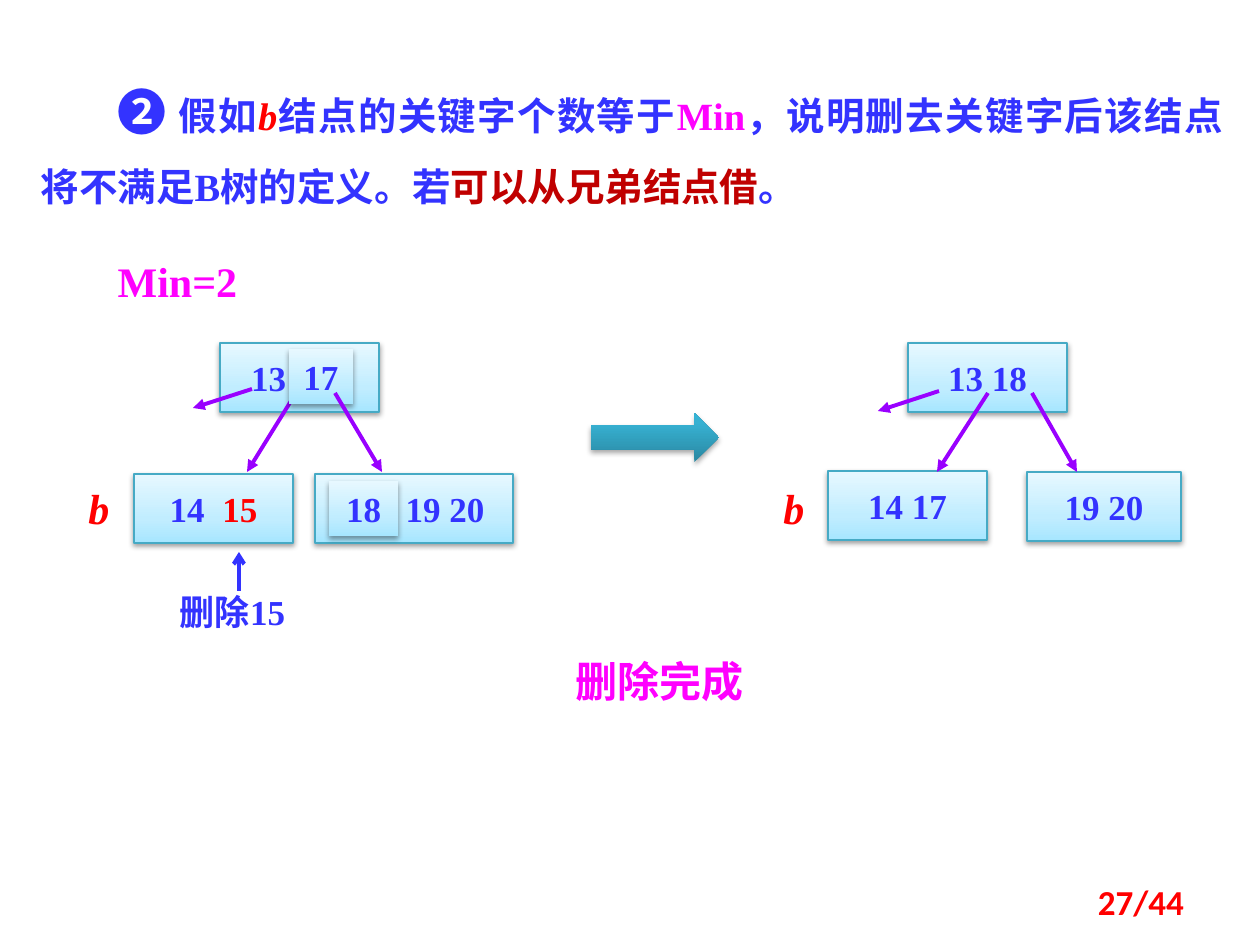
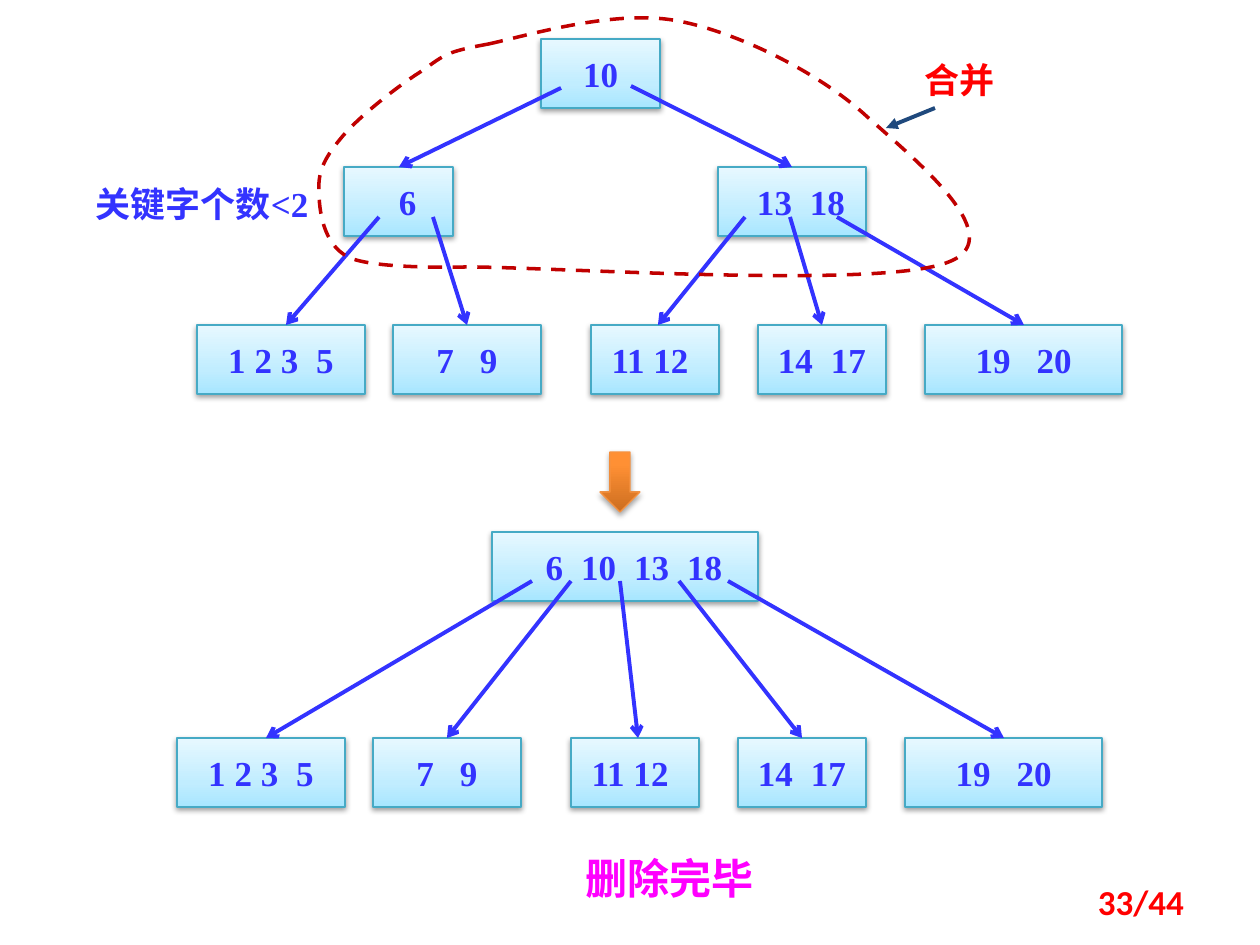
from pptx import Presentation
from pptx.dml.color import RGBColor
from pptx.enum.dml import MSO_LINE
from pptx.enum.shapes import MSO_CONNECTOR, MSO_SHAPE
from pptx.enum.text import MSO_ANCHOR, PP_ALIGN
from pptx.oxml import parse_xml
from pptx.oxml.ns import nsdecls, qn
from pptx.util import Emu, Pt
from lxml.etree import SubElement

UNIT = 914400 / 126
COLORS = {
    "blue": "3333FF", "red": "FF0000", "pink": "FF00FF", "brick": "C00000",
    "violet": "9900FF", "navy": "1F497D", "edge": "46AAC5", "amber": "F69240",
}
FILLS = {
    "node": [(0, "A7E6FF"), (35, "C1EDFF"), (100, "E7F8FF")],
    "teal": [(0, "2A88A2"), (80, "37B1D2"), (100, "34B4D6")],
    "orange": [(0, "CC6E20"), (80, "FF9034"), (100, "FF9136")],
}
SERIF, HAN, SANS = "Times New Roman", "Noto Sans CJK SC", "Calibri"
DIGIT, SPACE = 17.5, 8.75
TALL = 69


def px(value):
    return Emu(round(value * UNIT))


def rgb(name):
    return RGBColor.from_string(COLORS[name])


def style(font, color, size, name):
    font.name, font.size, font.bold = name, Pt(size), True
    font.color.rgb = rgb(color)


def clear(frame):
    frame.margin_left = frame.margin_right = 0
    frame.margin_top = frame.margin_bottom = 0
    frame.word_wrap = True


def label(slide, box, text, color="blue", size=20, name=SERIF,
          align=PP_ALIGN.CENTER, slant=False):
    frame = slide.shapes.add_textbox(*map(px, box)).text_frame
    clear(frame)
    frame.vertical_anchor = MSO_ANCHOR.MIDDLE
    para = frame.paragraphs[0]
    para.text, para.alignment = text, align
    style(para.font, color, size, name)
    if slant:
        para.font.italic = True


def solid(slide, kind, box, fill, edge=None, alpha=38, drop=20000):
    shape = slide.shapes.add_shape(kind, *map(px, box))
    shape.fill.gradient()
    stops = "".join(
        f'<a:gs pos="{pos * 1000}"><a:srgbClr val="{color}"/></a:gs>'
        for pos, color in FILLS[fill])
    props = shape.element.spPr
    props.replace(props.find(qn("a:gradFill")), parse_xml(
        f'<a:gradFill {nsdecls("a")} rotWithShape="1"><a:gsLst>{stops}</a:gsLst>'
        '<a:lin ang="16200000" scaled="0"/></a:gradFill>'))
    if edge:
        shape.line.color.rgb = rgb(edge)
        shape.line.width = Pt(0.75)
    else:
        shape.line.fill.background()
    props.append(parse_xml(
        f'<a:effectLst {nsdecls("a")}><a:outerShdw blurRad="40000" dist="{drop}" '
        'dir="5400000" rotWithShape="0"><a:srgbClr val="000000">'
        f'<a:alpha val="{alpha * 1000}"/></a:srgbClr></a:outerShdw></a:effectLst>'))
    return shape


def span(text):
    return sum(SPACE if char == " " else DIGIT for char in text)


def node(slide, box, keys, gap=18, shift=0, edge="edge", hot=None):
    frame = solid(slide, MSO_SHAPE.RECTANGLE, box, "node", edge).text_frame
    clear(frame)
    frame.vertical_anchor = MSO_ANCHOR.MIDDLE
    parts = keys.split("\t")
    total = sum(map(span, parts)) + gap * (len(parts) - 1)
    frame.margin_left = px((box[2] - total) / 2 + shift)
    para = frame.paragraphs[0]
    para.alignment = PP_ALIGN.LEFT
    if len(parts) > 1:
        tabs = SubElement(para._p.get_or_add_pPr(), qn("a:tabLst"))
        place = 0
        for part in parts[:-1]:
            place += span(part) + gap
            SubElement(tabs, qn("a:tab"), pos=str(px(place)), algn="l")
    if hot in parts:
        for i, part in enumerate(parts):
            run = para.add_run()
            run.text = "\t" + part if i else part
            if part == hot:
                run.font.color.rgb = rgb("red")
    else:
        para.text = keys
    style(para.font, "blue", 20, SERIF)


def arrow(slide, start, end, color="blue", head="arrow"):
    line = slide.shapes.add_connector(
        MSO_CONNECTOR.STRAIGHT, *map(px, (*start, *end)))
    line.line.color.rgb = rgb(color)
    line.line.width = Pt(2.25)
    SubElement(line.line._get_or_add_ln(), qn("a:tailEnd"), type=head)
    SubElement(line.element.spPr, qn("a:effectLst"))


def page(deck, number):
    slide = deck.slides.add_slide(deck.slide_layouts[6])
    label(slide, (903, 876, 281, 51), f"{number}/44", "red", 20, SANS, PP_ALIGN.RIGHT)
    return slide


def intro(slide, box):
    frame = slide.shapes.add_textbox(*map(px, box)).text_frame
    clear(frame)
    para = frame.paragraphs[0]
    para.alignment, para.line_spacing = PP_ALIGN.JUSTIFY, 1.5
    para._p.get_or_add_pPr().set("indent", str(px(77)))
    for text, color in [
        ("❷", None), (" 假如", None), ("b", "red"), ("结点的关键字个数等于", None),
        ("Min", "pink"), ("，说明删去关键字后该结点将不满足B树的定义。若", None),
        ("可以从兄弟结点借", "brick"), ("。", None),
    ]:
        run = para.add_run()
        run.text = text
        if color:
            run.font.color.rgb = rgb(color)
        if text == "❷":
            run.font.size = Pt(28)
        if text == "b":
            run.font.italic = True
    style(para.font, "blue", 22, SERIF)


def tree(slide, x, y, top, left, right, links, covers=()):
    label(slide, (x, y + 140, 90, 50), "b", "red", 24, slant=True)
    for (dx, dy, wide), keys, shift in (top, left, right):
        node(slide, (x + dx, y + dy, wide, TALL), keys, shift=shift, hot="15")

    def link(x1, y1, x2, y2):
        arrow(slide, (x + x1, y + y1), (x + x2, y + y2), "violet", "triangle")

    for ends in links[:-1]:
        link(*ends)
    for (dx, dy, wide), key in covers:
        node(slide, (x + dx, y + dy, wide, 55), key, edge=None)
    link(*links[-1])


def borrow(deck):
    slide = page(deck, 27)
    intro(slide, (41, 52, 1182, 159))
    label(slide, (98, 256, 159, 50), "Min=2", "pink", 24)
    tree(slide, 54, 343,
         ((166, 0, 159), "13", -31),
         ((80, 131, 159), "14\t15", 0),
         ((261, 131, 198), "19 20", 31),
         [(242, 50, 193, 129), (198, 46, 139, 65), (281, 50, 328, 129)],
         [((235, 6, 64), "17"), ((275, 138, 69), "18")])
    arrow(slide, (239, 591), (239, 552))
    label(slide, (148, 590, 169, 42), "删除15")
    solid(slide, MSO_SHAPE.RIGHT_ARROW, (591, 413, 128, 49), "teal", alpha=35, drop=23000)
    tree(slide, 749, 343,
         ((159, 0, 159), "13 18", 0),
         ((79, 128, 159), "14 17", 0),
         ((278, 129, 154), "19 20", 0),
         [(239, 50, 188, 129), (190, 48, 129, 68), (283, 50, 328, 129)])
    label(slide, (522, 649, 276, 63), "删除完成", "pink", 24, HAN)


def leaves(slide, x, y, starts, rise):
    for dx, wide, keys, gap, shift in [
        (0, 168, "1 2 3\t5", 18, 0), (196, 148, "7\t9", 26, 0),
        (394, 128, "11 12", 18, -4), (561, 128, "14\t17", 18, 0),
        (728, 197, "19\t20", 26, 0),
    ]:
        node(slide, (x + dx, y, wide, TALL), keys, gap, shift)
    for start, tip in zip(starts, (89, 270, 461, 625, 827)):
        arrow(slide, (x + start, y - rise), (x + tip, y))


def ring(slide, x, y):
    knots = [(px(x + dx), px(y + dy)) for dx, dy in [
        (171, 35), (128, 43), (128, 45), (104, 62), (80, 77), (42, 107), (25, 127),
        (8, 147), (0, 161), (1, 181), (1, 201), (5, 235), (30, 248),
        (55, 261), (151, 258), (151, 258), (252, 259), (565, 280), (631, 253),
        (696, 228), (590, 145), (545, 104), (500, 64), (422, 24), (360, 12),
        (297, 0), (212, 26), (171, 35)]]
    pen = slide.shapes.build_freeform(*knots[0])
    pen.add_line_segments(knots[1:], close=True)
    shape = pen.convert_to_shape()
    lines = list(shape.element.spPr.iter(qn("a:lnTo")))
    for i in range(0, len(knots) - 1, 3):
        bend = parse_xml(f'<a:cubicBezTo {nsdecls("a")}/>')
        lines[i].addprevious(bend)
        for line in lines[i:i + 3]:
            bend.append(line[0])
            line.getparent().remove(line)
    shape.shadow.inherit = False
    shape.fill.background()
    shape.line.color.rgb = rgb("brick")
    shape.line.width = Pt(2)
    shape.line.dash_style = MSO_LINE.DASH


def merge(deck):
    slide = page(deck, 33)
    node(slide, (541, 39, 119, TALL), "10")
    node(slide, (344, 167, 109, TALL), "6", shift=9)
    node(slide, (718, 167, 148, TALL), "13\t18", shift=9)
    arrow(slide, (561, 88), (399, 167))
    arrow(slide, (631, 86), (792, 167))
    leaves(slide, 197, 325, (182, 236, 548, 593, 640), 108)
    label(slide, (69, 176, 266, 55), "关键字个数<2")
    ring(slide, 318, 9)
    arrow(slide, (935, 108), (886, 128), "navy", "triangle")
    label(slide, (905, 58, 109, 42), "合并", "red", 20, HAN)
    solid(slide, MSO_SHAPE.DOWN_ARROW, (600, 452, 40, 60), "orange", "amber", 35, 23000)
    node(slide, (492, 532, 266, TALL), "6\t10\t13\t18", shift=9)
    leaves(slide, 177, 738, (355, 394, 443, 502, 551), 157)
    label(slide, (502, 846, 335, 63), "删除完毕", "pink", 24, HAN)


def main():
    deck = Presentation()
    deck.slide_width, deck.slide_height = px(1260), px(945)
    borrow(deck)
    merge(deck)
    deck.save("out.pptx")


if __name__ == "__main__":
    main()
